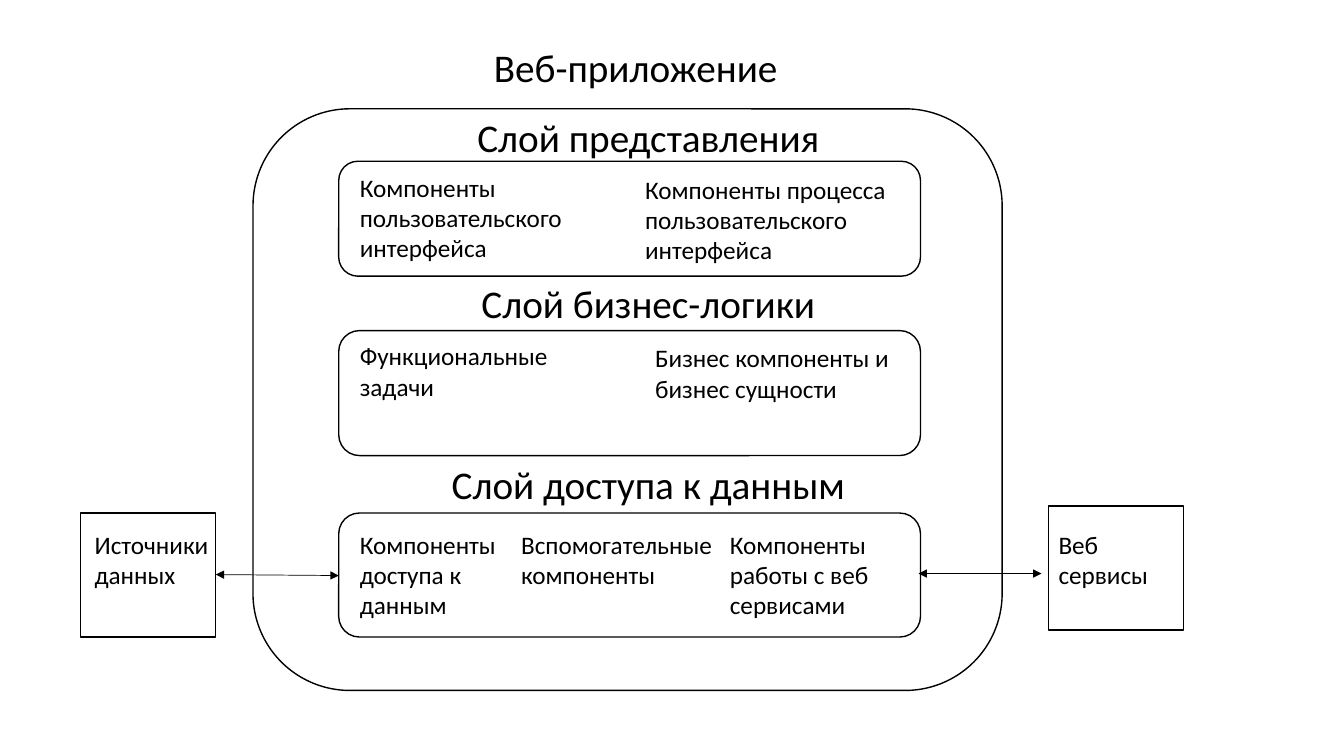
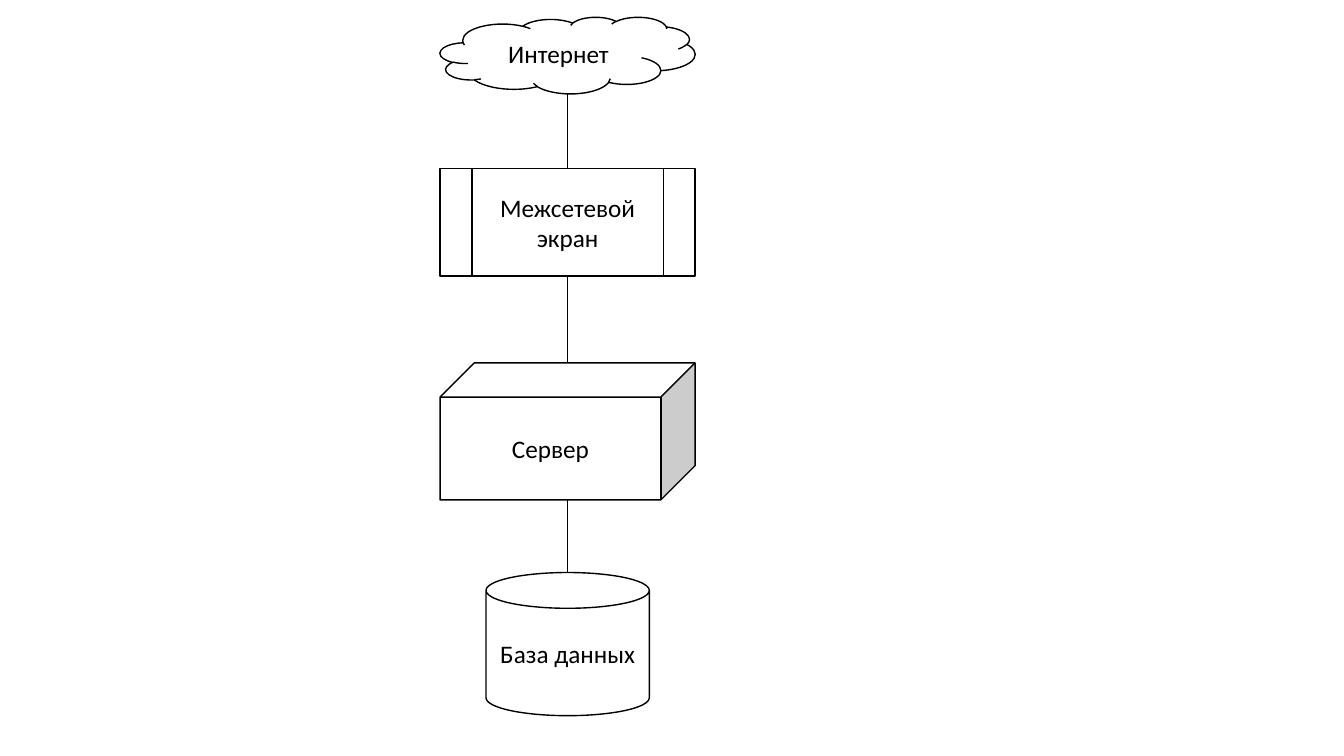
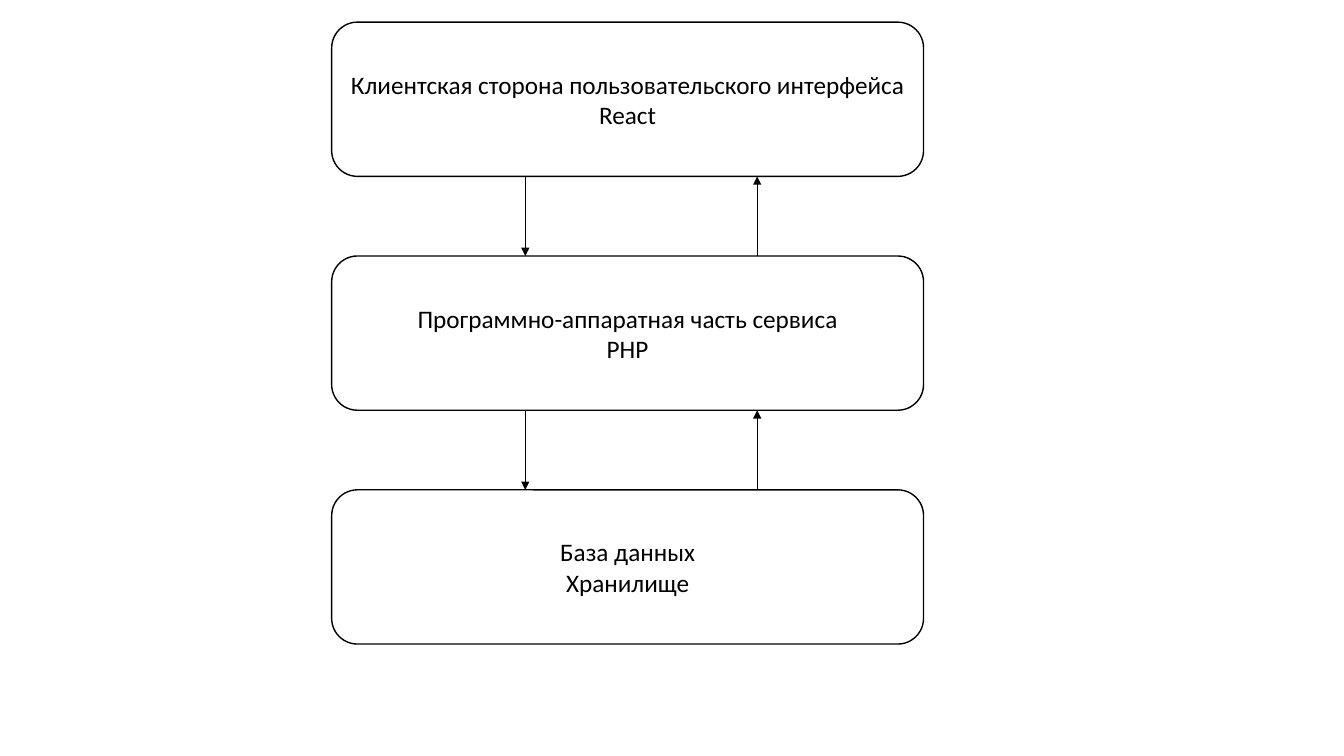
"""Three architecture diagrams of a web application."""
from pptx import Presentation
from pptx.dml.color import RGBColor
from pptx.enum.shapes import MSO_CONNECTOR, MSO_SHAPE
from pptx.enum.text import MSO_ANCHOR, MSO_AUTO_SIZE, PP_ALIGN
from pptx.oxml.ns import qn
from pptx.util import Inches, Pt
from lxml.etree import SubElement

COLOURS = {"ink": "000000", "paper": "FFFFFF"}
FONT = "Calibri"
BODY_SIZE, HEADING_SIZE = 18, 28
HEADING_HEIGHT, LINE_HEIGHT, TEXT_PADDING = 0.57, 0.3, 0.1

APPLICATION = ("Веб-приложение", (3.32, 0.38, 5.97))
APPLICATION_FRAME = (2.51, 1.08, 7.43, 5.77)
LAYER_LEFT, LAYER_WIDTH, LAYER_HEADING_CENTRE = 3.36, 5.77, 6.43
LAYERS = [
    ("Слой представления", 1.08, 3.63, 1.6, 1.14, [
        ("Компоненты пользовательского интерфейса", 3.47, 1.66, 2.56, 3),
        ("Компоненты процесса пользовательского интерфейса", 6.3, 1.68, 2.83, 3)]),
    ("Слой бизнес-логики", 2.72, 3.55, 3.28, 1.24, [
        ("Функциональные задачи", 3.47, 3.33, 2.56, 2),
        ("Бизнес компоненты и бизнес сущности", 6.4, 3.35, 2.56, 2)]),
    ("Слой доступа к данным", 4.52, 4.14, 5.09, 1.23, [
        ("Компоненты доступа к данным", 3.47, 5.2, 1.6, 3),
        ("Вспомогательные компоненты", 5.07, 5.2, 2.13, 2),
        ("Компоненты работы с веб сервисами", 7.14, 5.2, 1.82, 3)]),
]
EXTERNAL_SIZE = (1.34, 1.23)
EXTERNALS = [
    ((0.8, 5.09), ("Источники данных", 0.84, 5.2, 2.13, 2), (2.14, 5.7, 3.36, 5.71)),
    ((10.4, 5.02), ("Веб сервисы", 10.4, 5.2, 1.32, 2), (9.11, 5.69, 10.33, 5.69)),
]

NETWORK_CENTRE = 5.63
NETWORK = [
    ("Интернет", MSO_SHAPE.CLOUD, 0.17, 2.53, 0.76),
    ("Межсетевой экран", MSO_SHAPE.FLOWCHART_PREDEFINED_PROCESS, 1.67, 2.53, 1.07),
    ("Сервер", MSO_SHAPE.CUBE, 3.6, 2.53, 1.36),
    ("База данных", MSO_SHAPE.CAN, 5.68, 1.62, 1.42),
]

TIERS = [
    "Клиентская сторона пользовательского интерфейса\nReact",
    "Программно-аппаратная часть сервиса\nPHP",
    "База данных\nХранилище",
]
TIER_LEFT, TIER_TOP, TIER_WIDTH, TIER_HEIGHT, TIER_STEP = 3.29, 0.22, 5.87, 1.53, 2.32
REQUEST_X, RESPONSE_X = 5.21, 7.51


def colour(name):
    return RGBColor.from_string(COLOURS[name])


def write(frame, text, size, align):
    frame.text = text
    for para in frame.paragraphs:
        para.alignment = align
        for span in para.runs:
            span.font.name = FONT
            span.font.size = Pt(size)
            span.font.color.rgb = colour("ink")


def add_box(page, kind, place, text=""):
    box = page.shapes.add_shape(kind, *map(Inches, place))
    box.shadow.inherit = False
    box.fill.solid()
    box.fill.fore_color.rgb = colour("paper")
    box.line.color.rgb = colour("ink")
    box.line.width = Pt(1)
    if text:
        box.text_frame.vertical_anchor = MSO_ANCHOR.MIDDLE
        write(box.text_frame, text, BODY_SIZE, PP_ALIGN.CENTER)


def add_text(page, text, place, size=BODY_SIZE, align=PP_ALIGN.LEFT, wrap=True):
    box = page.shapes.add_textbox(*map(Inches, place))
    box.text_frame.word_wrap = wrap
    box.text_frame.auto_size = MSO_AUTO_SIZE.SHAPE_TO_FIT_TEXT
    write(box.text_frame, text, size, align)


def add_heading(page, text, left, top, width, wrap):
    place = (left, top, width, HEADING_HEIGHT)
    add_text(page, text, place, HEADING_SIZE, PP_ALIGN.CENTER, wrap)


def add_label(page, text, left, top, width, lines):
    add_text(page, text, (left, top, width, lines * LINE_HEIGHT + TEXT_PADDING))


def add_link(page, ends, *arrow_ends):
    link = page.shapes.add_connector(MSO_CONNECTOR.STRAIGHT, *map(Inches, ends))
    link.line.color.rgb = colour("ink")
    link.line.width = Pt(0.5)
    outline = link.line._get_or_add_ln()
    for end in arrow_ends:
        SubElement(outline, qn(f"a:{end}"), type="triangle")
    SubElement(link._element.spPr, qn("a:effectLst"))


def build_layers(page):
    add_box(page, MSO_SHAPE.ROUNDED_RECTANGLE, APPLICATION_FRAME)
    title, place = APPLICATION
    add_heading(page, title, *place, wrap=True)
    for heading, heading_top, heading_width, top, height, labels in LAYERS:
        add_box(page, MSO_SHAPE.ROUNDED_RECTANGLE, (LAYER_LEFT, top, LAYER_WIDTH, height))
        heading_left = LAYER_HEADING_CENTRE - heading_width / 2
        add_heading(page, heading, heading_left, heading_top, heading_width, wrap=False)
        for label in labels:
            add_label(page, *label)
    for corner, label, ends in EXTERNALS:
        add_box(page, MSO_SHAPE.RECTANGLE, corner + EXTERNAL_SIZE)
        add_label(page, *label)
        add_link(page, ends, "headEnd", "tailEnd")


def build_network(page):
    for text, kind, top, width, height in NETWORK:
        add_box(page, kind, (NETWORK_CENTRE - width / 2, top, width, height), text)
    for upper, lower in zip(NETWORK, NETWORK[1:]):
        bottom = upper[2] + upper[4]
        add_link(page, (NETWORK_CENTRE, bottom, NETWORK_CENTRE, lower[2]))


def build_tiers(page):
    for index, text in enumerate(TIERS):
        top = TIER_TOP + index * TIER_STEP
        add_box(page, MSO_SHAPE.ROUNDED_RECTANGLE,
                (TIER_LEFT, top, TIER_WIDTH, TIER_HEIGHT), text)
        if index:
            above = top - TIER_STEP + TIER_HEIGHT
            add_link(page, (REQUEST_X, above, REQUEST_X, top), "tailEnd")
            add_link(page, (RESPONSE_X, top, RESPONSE_X, above), "tailEnd")


def main():
    deck = Presentation()
    deck.slide_width, deck.slide_height = Inches(13.33), Inches(7.5)
    for build in (build_layers, build_network, build_tiers):
        build(deck.slides.add_slide(deck.slide_layouts[6]))
    deck.save("out.pptx")


if __name__ == "__main__":
    main()
